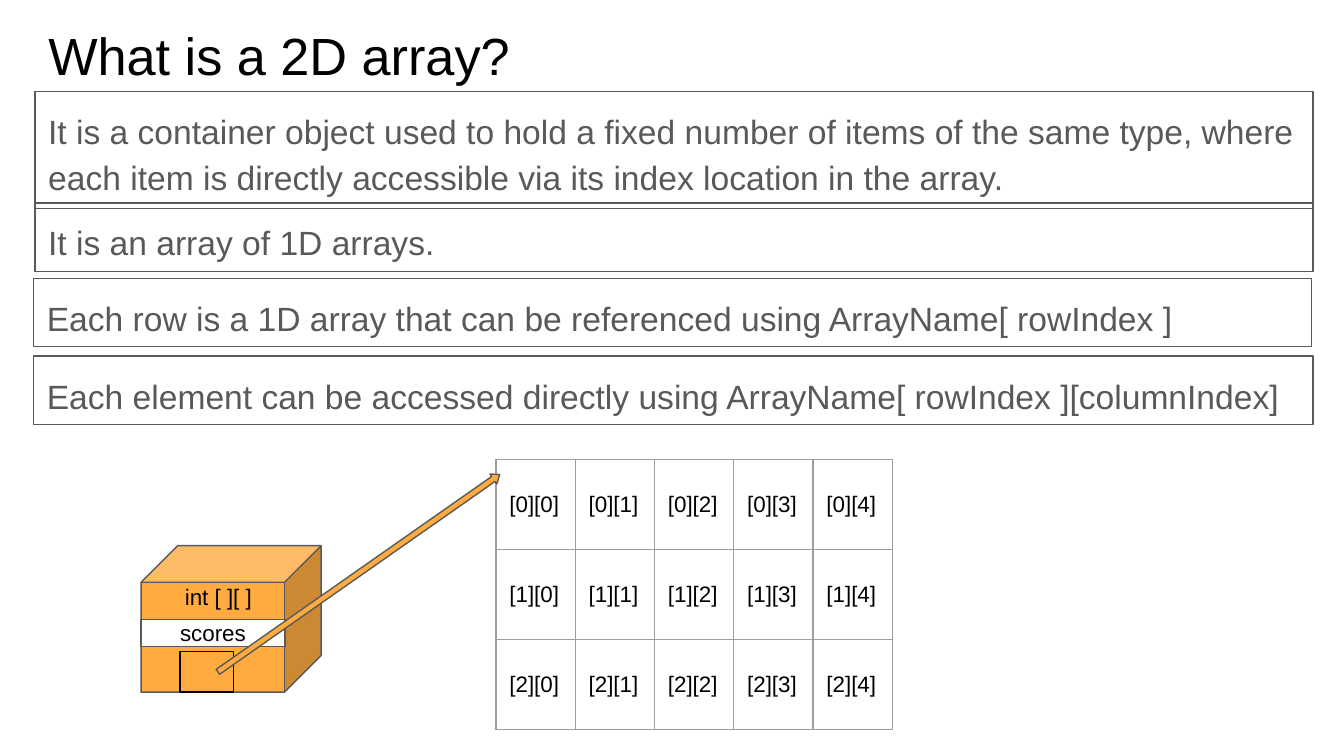
"""Builds a slide that explains what a 2D array is."""
from lxml import etree
from pptx import Presentation
from pptx import util as u
from pptx.dml.color import RGBColor
from pptx.enum import shapes, text
from pptx.oxml.ns import qn

TITLE = "What is a 2D array?"
STATEMENTS = [
    ("It is a container object used to hold a fixed number of items of the same type, "
     "where each item is directly accessible via its index location in the array.",
     (0.26, 0.68, 9.51, 0.87)),
    ("It is an array of 1D arrays.", (0.26, 1.51, 9.51, 0.51)),
    ("Each row is a 1D array that can be referenced using ArrayName[ rowIndex ]",
     (0.25, 2.07, 9.51, 0.51)),
    ("Each element can be accessed directly using ArrayName[ rowIndex ][columnIndex]",
     (0.25, 2.65, 9.52, 0.51)),
]
ROWS, COLUMNS = 3, 5
CELL_WIDTH, CELL_HEIGHT = 0.59, 0.67
BLACK, WHITE, GRAY, ORANGE, GRID = "000000", "FFFFFF", "595959", "FFAB40", "9E9E9E"
LEFT, CENTER = text.PP_ALIGN.LEFT, text.PP_ALIGN.CENTER
TOP, MIDDLE = text.MSO_ANCHOR.TOP, text.MSO_ANCHOR.MIDDLE
SHAPE = shapes.MSO_SHAPE


def paint(color_format, color):
    color_format.rgb = RGBColor.from_string(color)


def place(item, left, top, width, height):
    item.left, item.top = u.Inches(left), u.Inches(top)
    item.width, item.height = u.Inches(width), u.Inches(height)


def write(frame, words, size, color=BLACK, align=LEFT):
    frame.text = words
    frame.word_wrap = True
    paragraph = frame.paragraphs[0]
    paragraph.alignment = align
    paragraph.font.name, paragraph.font.size = "Arial", u.Pt(size)
    paint(paragraph.font.color, color)
    return paragraph


def fit(holder, anchor=TOP):
    holder.vertical_anchor = anchor
    holder.margin_left = holder.margin_right = u.Inches(0.1)
    holder.margin_top = holder.margin_bottom = u.Inches(0.1)


def add_outlined(slide, preset, bounds, fill=None, line=GRAY):
    shape = slide.shapes.add_shape(preset, *map(u.Inches, bounds))
    shape.shadow.inherit = False
    if fill:
        shape.fill.solid()
        paint(shape.fill.fore_color, fill)
    else:
        shape.fill.background()
    paint(shape.line.color, line)
    shape.line.width = u.Pt(0.75)
    return shape


def add_borders(cell):
    properties = cell._tc.get_or_add_tcPr()
    for side in ("a:lnL", "a:lnR", "a:lnT", "a:lnB"):
        border = etree.SubElement(properties, qn(side), w=str(u.Pt(0.75)))
        solid = etree.SubElement(border, qn("a:solidFill"))
        etree.SubElement(solid, qn("a:srgbClr"), val=GRID)


def add_index_grid(slide):
    bounds = (3.69, 3.42, COLUMNS * CELL_WIDTH, ROWS * CELL_HEIGHT)
    grid = slide.shapes.add_table(ROWS, COLUMNS, *map(u.Inches, bounds)).table
    grid.first_row = grid.horz_banding = False
    for row in range(ROWS):
        for column in range(COLUMNS):
            cell = grid.cell(row, column)
            write(cell.text_frame, f"[{row}][{column}]", 12)
            fit(cell, MIDDLE)
            add_borders(cell)
            cell.fill.background()


def add_variable_box(slide):
    add_outlined(slide, SHAPE.CUBE, (1.05, 4.06, 1.34, 1.09), ORANGE).adjustments[0] = 0.25
    name = add_outlined(slide, SHAPE.RECTANGLE, (1.05, 4.61, 1.07, 0.2), WHITE)
    kind = slide.shapes.add_textbox(*map(u.Inches, (1.05, 4.29, 1.15, 0.3)))
    for label, words in ((name, "scores"), (kind, "int [ ][ ]")):
        write(label.text_frame, words, 12, align=CENTER)
        fit(label.text_frame, MIDDLE)
    add_outlined(slide, SHAPE.RECTANGLE, (1.34, 4.85, 0.4, 0.3), line=BLACK)
    reference = add_outlined(slide, SHAPE.RIGHT_ARROW, (1.39, 4.22, 2.56, 0.09), ORANGE)
    reference.adjustments[0], reference.adjustments[1] = 0.5, 0.64
    reference.rotation = 325


def main():
    deck = Presentation()
    deck.slide_width, deck.slide_height = u.Inches(10), u.Inches(10 * 9 / 16)
    slide = deck.slides.add_slide(deck.slide_layouts[5])
    title = slide.shapes.title
    place(title, 0.26, 0.07, 9.32, 0.63)
    write(title.text_frame, TITLE, 28)
    fit(title.text_frame)
    title.text_frame.auto_size = text.MSO_AUTO_SIZE.NONE
    for words, bounds in STATEMENTS:
        statement = add_outlined(slide, SHAPE.RECTANGLE, bounds).text_frame
        paragraph = write(statement, words, 18, GRAY)
        paragraph.line_spacing, paragraph.space_after = 1.15, u.Pt(16)
        fit(statement)
    add_index_grid(slide)
    add_variable_box(slide)
    deck.save("out.pptx")


if __name__ == "__main__":
    main()
